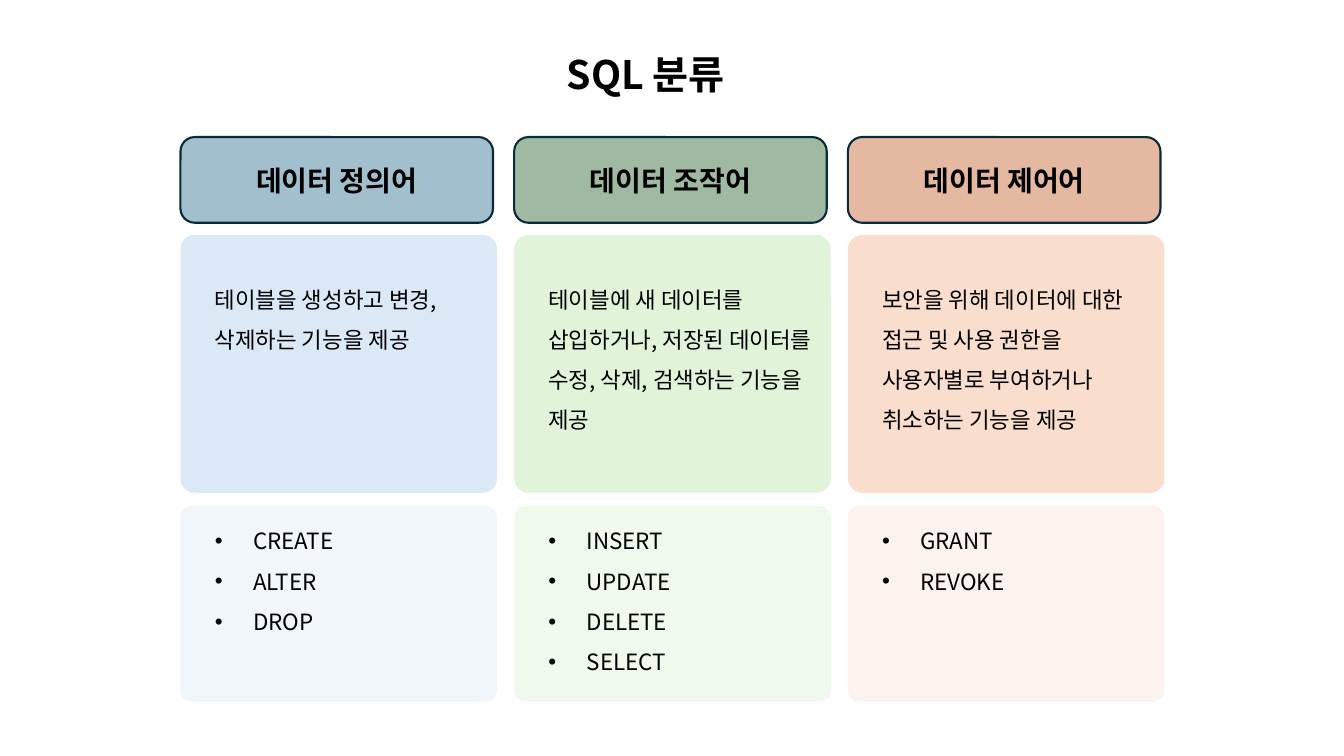
from pptx import Presentation
from pptx.dml.color import RGBColor
from pptx.enum.shapes import MSO_SHAPE as SHAPE
from pptx.enum.text import MSO_ANCHOR as ANCHOR, PP_ALIGN as ALIGN
from pptx.oxml.ns import qn
from pptx.util import Inches, Pt
from lxml.etree import SubElement

FONT = "Noto Sans CJK KR"
BLACK = RGBColor(0x00, 0x00, 0x00)
NAVY = RGBColor(0x09, 0x2A, 0x39)

# Column grid and the rows (top, height) of each column, in inches
LEFT, PITCH = 1.79, 3.31
HEAD_W, CARD_W = 3.1, 3.14
HEAD_ROW, BODY_ROW, LIST_ROW = (1.36, 0.85), (2.33, 2.56), (5.02, 1.94)

# Heading, description, commands, fills of the three cards
COLUMNS = [
    ("데이터 정의어", "테이블을 생성하고 변경, 삭제하는 기능을 제공",
     ["CREATE", "ALTER", "DROP"],
     (RGBColor(0x15, 0x60, 0x82), RGBColor(0xA6, 0xCA, 0xEC), RGBColor(0xDC, 0xEA, 0xF7))),
    ("데이터 조작어", "테이블에 새 데이터를 삽입하거나, 저장된 데이터를 수정, 삭제, 검색하는 기능을 제공",
     ["INSERT", "UPDATE", "DELETE", "SELECT"],
     (RGBColor(0x13, 0x50, 0x1B), RGBColor(0xB4, 0xE5, 0xA2), RGBColor(0xD9, 0xF2, 0xD0))),
    ("데이터 제어어", "보안을 위해 데이터에 대한 접근 및 사용 권한을 사용자별로 부여하거나 취소하는 기능을 제공",
     ["GRANT", "REVOKE"],
     (RGBColor(0xC0, 0x4F, 0x15), RGBColor(0xF2, 0xAA, 0x84), RGBColor(0xFB, 0xE3, 0xD6))),
]


def write(tf, lines, size=16, bold=False, align=ALIGN.LEFT, anchor=ANCHOR.TOP,
          spacing=None, margin=0, indent=0, bullet=False, top=0.05, wrap=True):
    """Fill a text frame with one formatted paragraph per line."""
    tf.word_wrap = wrap
    tf.vertical_anchor = anchor
    tf.margin_left = tf.margin_right = Inches(0.1)
    tf.margin_top, tf.margin_bottom = Inches(top), Inches(0.05)
    for i, text in enumerate(lines):
        p = tf.add_paragraph() if i else tf.paragraphs[0]
        p.alignment = align
        p.line_spacing = spacing
        pPr = p._p.get_or_add_pPr()
        pPr.set("marL", str(Inches(margin)))
        pPr.set("indent", str(Inches(indent)))
        if bullet:
            SubElement(pPr, qn("a:buFont")).set("typeface", "Arial")
            SubElement(pPr, qn("a:buChar")).set("char", "•")
        r = p.add_run()
        r.text = text
        r.font.size, r.font.bold = Pt(size), bold
        r.font.color.rgb = BLACK
        r.font.name = FONT
        SubElement(r._r.get_or_add_rPr(), qn("a:ea")).set("typeface", FONT)


def add_card(slide, left, row, width, color, radius, line=None):
    """Add a rounded card with a 40 % opaque fill and return its text frame."""
    top, height = row
    sp = slide.shapes.add_shape(SHAPE.ROUNDED_RECTANGLE, Inches(left), Inches(top),
                                Inches(width), Inches(height))
    sp.adjustments[0] = radius
    sp.shadow.inherit = False
    sp.fill.solid()
    sp.fill.fore_color.rgb = color
    rgb = sp._element.spPr.find(qn("a:solidFill"))[0]
    SubElement(rgb, qn("a:alpha")).set("val", "40000")
    if line is None:
        sp.line.fill.background()
    else:
        sp.line.color.rgb = line
        sp.line.width = Pt(1.5)
    return sp.text_frame


def add_title(slide, text, left, top, width, height):
    title = slide.shapes.title
    title.left, title.top = Inches(left), Inches(top)
    title.width, title.height = Inches(width), Inches(height)
    write(title.text_frame, [text], size=28, bold=True, spacing=1.0, wrap=False)


def add_column(slide, left, heading, description, commands, colors):
    head, body, listing = colors
    # Description
    tf = add_card(slide, left, BODY_ROW, CARD_W, body, 0.056)
    write(tf, [description], spacing=1.5, margin=0.2, top=0.33)
    # Heading
    tf = add_card(slide, left, HEAD_ROW, HEAD_W, head, 0.167, line=NAVY)
    write(tf, [heading], size=20, bold=True, align=ALIGN.CENTER, anchor=ANCHOR.MIDDLE)
    # Commands
    tf = add_card(slide, left, LIST_ROW, CARD_W, listing, 0.056)
    write(tf, commands, spacing=1.5, margin=0.59, indent=-0.38, bullet=True)


def main():
    prs = Presentation()
    prs.slide_width, prs.slide_height = Inches(13.33), Inches(7.5)
    slide = prs.slides.add_slide(prs.slide_layouts[5])
    add_title(slide, "SQL 분류", 5.52, 0.45, 2.56, 0.57)
    for i, column in enumerate(COLUMNS):
        add_column(slide, LEFT + i * PITCH, *column)
    prs.save("out.pptx")


if __name__ == "__main__":
    main()
